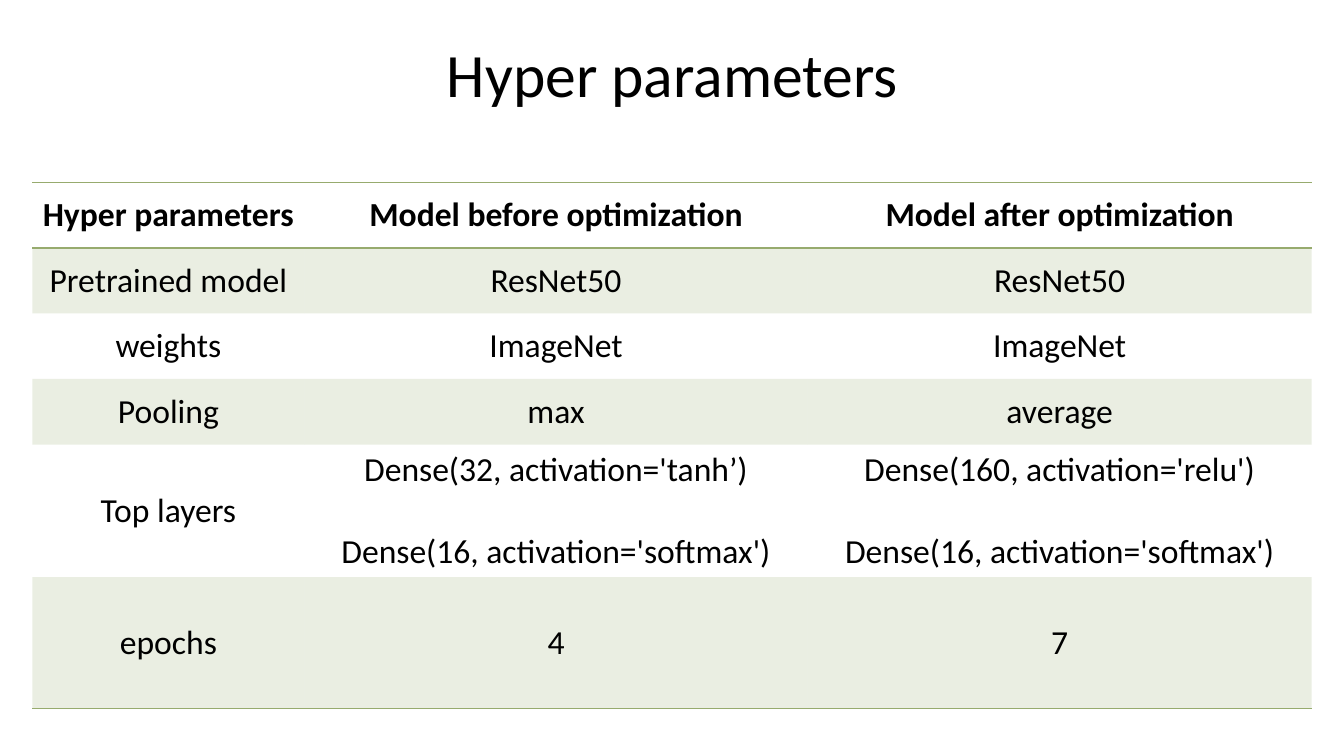
import pptx
import pptx.util
import pptx.dml.color
import pptx.enum.text
import pptx.oxml

Inches = pptx.util.Inches
Pt = pptx.util.Pt

COLORS = {"text": "000000", "green": "97AB6E"}
FONT = "Calibri"
PLAIN = "{2D5ABB26-0587-4C30-8999-92F81FD0307C}"  # table style without lines
NS = "http://schemas.openxmlformats.org/drawingml/2006/main"

COLS = [2.7, 4.99, 5]
ROWS = [0.65] * 4 + [1.3] * 2
DATA = [
    ["Hyper parameters", "Model before optimization", "Model after optimization"],
    ["Pretrained model", "ResNet50", "ResNet50"],
    ["weights", "ImageNet", "ImageNet"],
    ["Pooling", "max", "average"],
    ["Top layers",
     "Dense(32,\u00a0activation='tanh\u2019)\nDense(16,\u00a0activation='softmax')",
     "Dense(160,\u00a0activation='relu')\nDense(16,\u00a0activation='softmax')"],
    ["epochs", "4", "7"],
]


def color(name):
    return pptx.dml.color.RGBColor.from_string(COLORS[name])


def write(frame, text, size, bold=False):
    """Fill a text frame with centred lines, set one blank line apart."""
    frame.text = text
    frame.vertical_anchor = pptx.enum.text.MSO_ANCHOR.MIDDLE
    for i, para in enumerate(frame.paragraphs):
        para.alignment = pptx.enum.text.PP_ALIGN.CENTER
        para.space_before = Pt(29 if i else 0)
        font = para.font
        font.name, font.size, font.bold = FONT, Pt(size), bold
        font.color.rgb = color("text")


def rule(cell, side):
    """Draw a thin green line on one side of a cell."""
    cell._tc.get_or_add_tcPr().append(pptx.oxml.parse_xml(
        f'<a:ln{side} xmlns:a="{NS}" w="12700"><a:solidFill>'
        f'<a:srgbClr val="{COLORS["green"]}"/></a:solidFill></a:ln{side}>'))


def tint(cell):
    """Fill a cell with green at 20 % opacity."""
    cell.fill.solid()
    cell.fill.fore_color.rgb = color("green")
    shade = cell._tc.tcPr.find(f".//{{{NS}}}solidFill[last()]/{{{NS}}}srgbClr")
    for shade in cell._tc.tcPr.findall(f"{{{NS}}}solidFill/{{{NS}}}srgbClr"):
        shade.append(pptx.oxml.parse_xml(f'<a:alpha xmlns:a="{NS}" val="20000"/>'))


def add_title(slide, text):
    title = slide.shapes.title
    title.left, title.top = Inches(3.97), Inches(0.3)
    title.width, title.height = Inches(5.4), Inches(0.84)
    write(title.text_frame, text, 44)


def add_grid(slide):
    frame = slide.shapes.add_table(
        len(ROWS), len(COLS), Inches(0.32), Inches(1.81),
        Inches(sum(COLS)), Inches(sum(ROWS)))
    table = frame.table
    table._tbl.tblPr.find(f"{{{NS}}}tableStyleId").text = PLAIN
    for col, width in zip(table.columns, COLS):
        col.width = Inches(width)
    for r, (row, height) in enumerate(zip(table.rows, ROWS)):
        row.height = Inches(height)
        for cell, text in zip(row.cells, DATA[r]):
            write(cell.text_frame, text, 24, bold=r == 0)
            cell.vertical_anchor = pptx.enum.text.MSO_ANCHOR.MIDDLE
            # Lines above and below the header, and below the last row
            if r == 0:
                rule(cell, "T")
            if r in (0, len(ROWS) - 1):
                rule(cell, "B")
            # Bands on every second row
            if r % 2:
                tint(cell)
            else:
                cell.fill.background()


def main():
    deck = pptx.Presentation()
    deck.slide_width, deck.slide_height = Inches(13.33), Inches(7.5)
    slide = deck.slides.add_slide(deck.slide_layouts[5])
    add_title(slide, "Hyper parameters")
    add_grid(slide)
    deck.save("out.pptx")


main()
